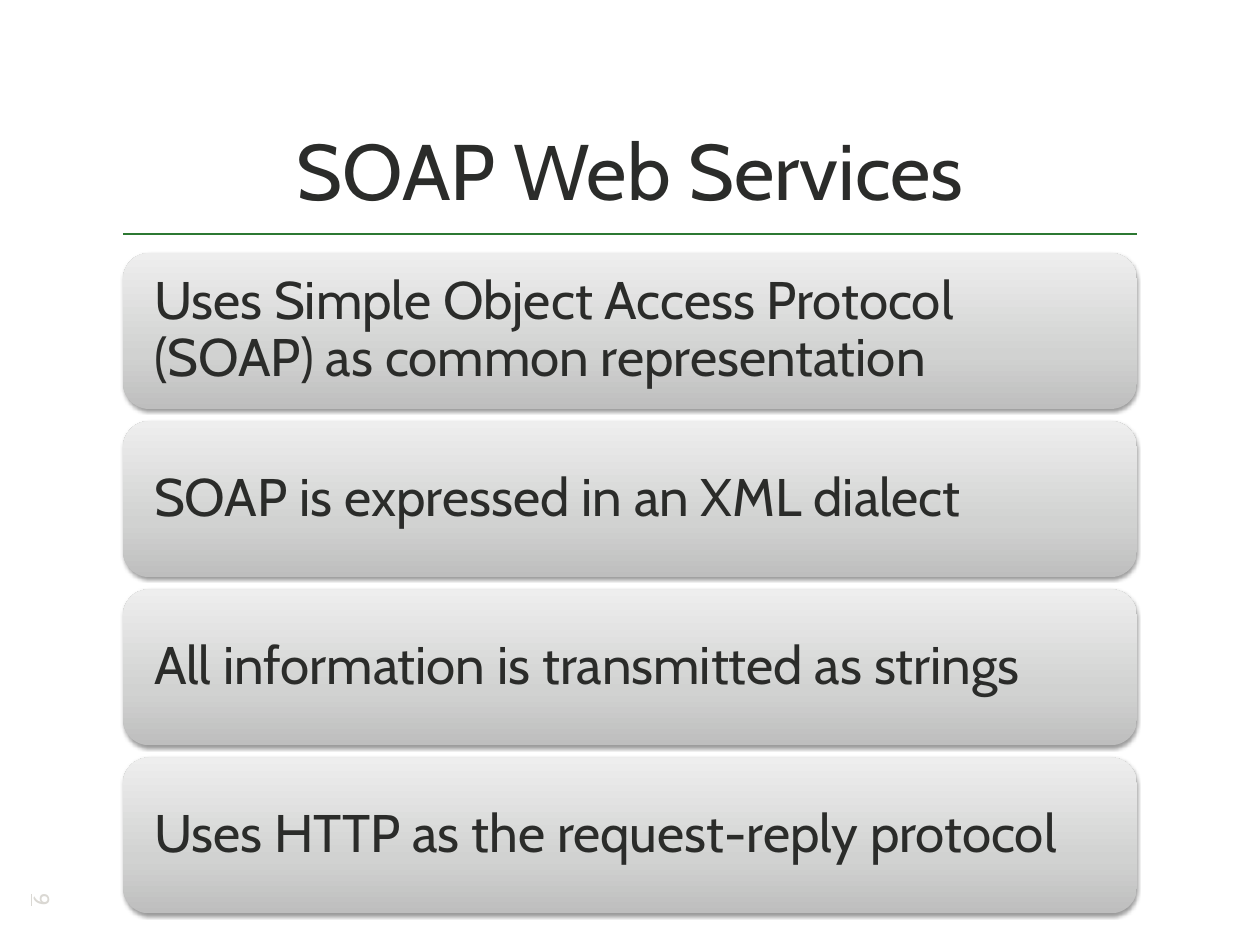
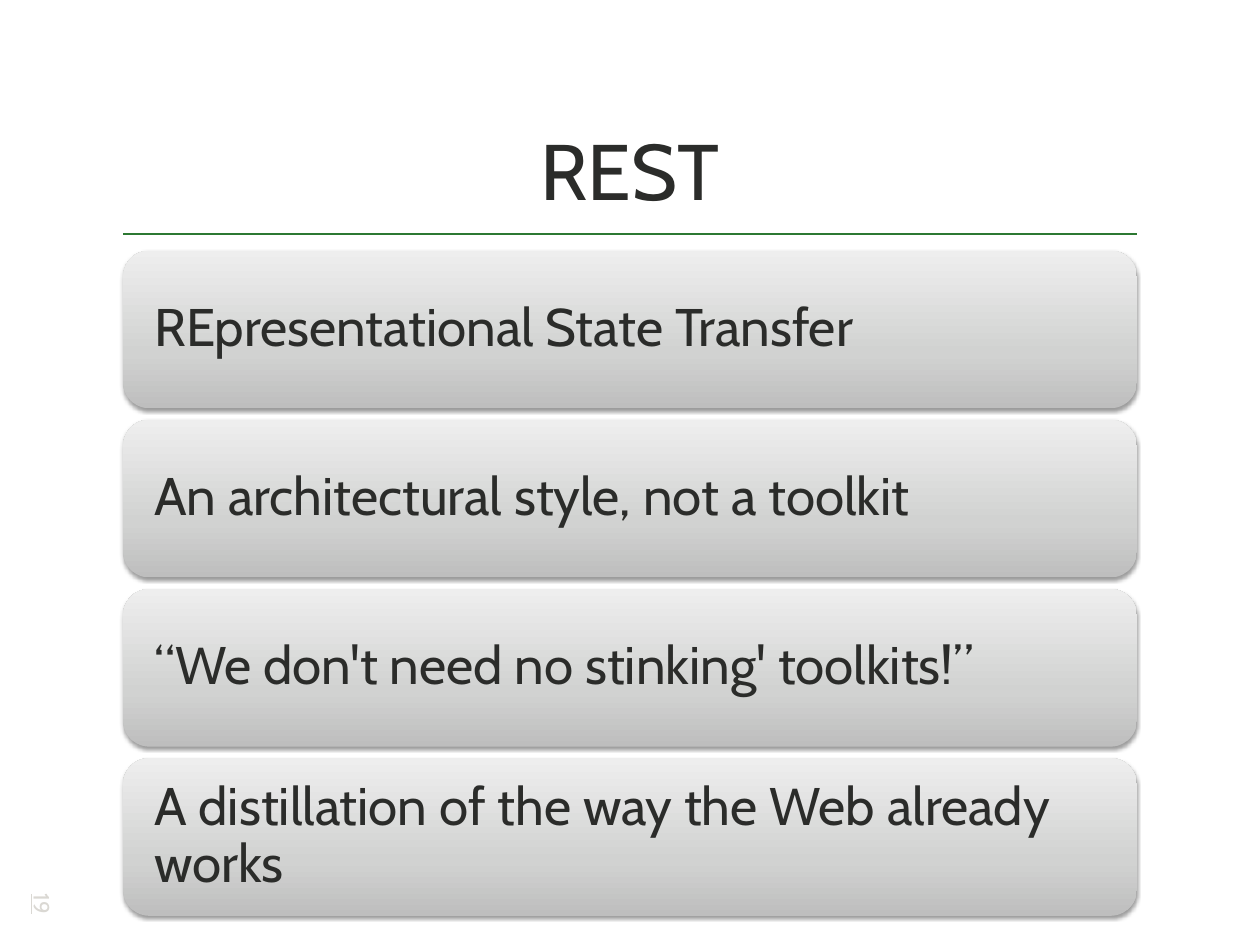
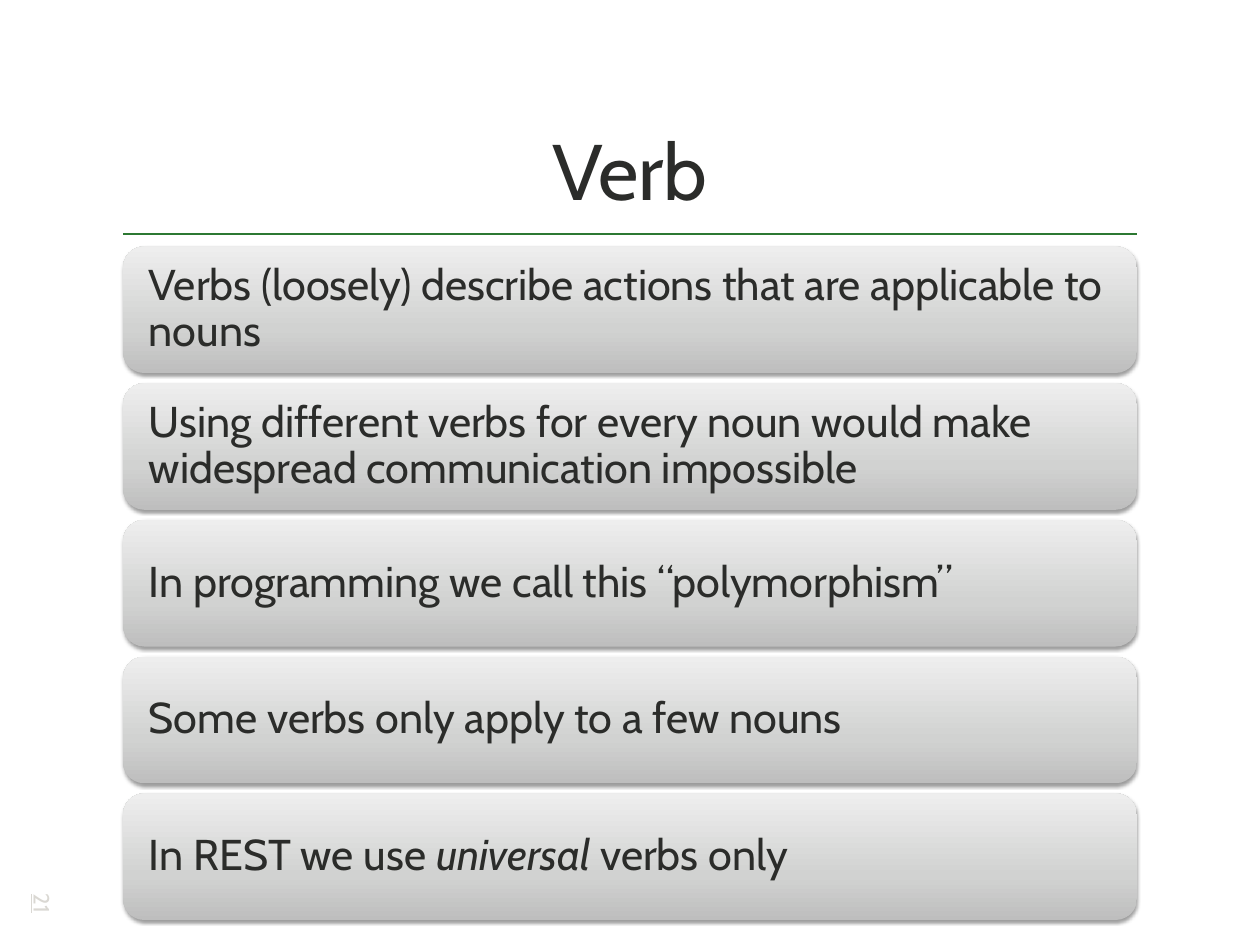
import copy

import pptx
import pptx.dml.color
import pptx.enum.shapes
import pptx.enum.text
import pptx.oxml
import pptx.oxml.ns
import pptx.util

Cm = pptx.util.Cm
Pt = pptx.util.Pt
qn = pptx.oxml.ns.qn
ALIGN = pptx.enum.text.PP_ALIGN
ANCHOR = pptx.enum.text.MSO_ANCHOR

COLORS = {
    "text": "2B2C2A",
    "rule": "2C7832",
    "number": "DAD8D3",
    "bar_bottom": "BEBEBE",
    "bar_middle": "D1D2D1",
    "bar_top": "EEEEEE",
}
BAR_STOPS = [(0, "bar_bottom"), (0.35, "bar_middle"), (1, "bar_top")]
BAR_SHADOW = (
    '<a:outerShdw xmlns:a="http://schemas.openxmlformats.org/drawingml/2006/main"'
    ' blurRad="40000" dist="20000" dir="5400000" rotWithShape="0">'
    '<a:srgbClr val="000000"><a:alpha val="38000"/></a:srgbClr></a:outerShdw>'
)


def rgb(name):
    return pptx.dml.color.RGBColor.from_string(COLORS[name])


def write(tf, text, size, color="text", align=ALIGN.LEFT, anchor=ANCHOR.TOP,
          inset=None, spacing=None, underline=None, italic=None, wrap=True):
    tf.word_wrap = wrap
    tf.auto_size = pptx.enum.text.MSO_AUTO_SIZE.NONE
    tf.vertical_anchor = anchor
    if inset is not None:
        tf.margin_left = tf.margin_right = Cm(inset)
        tf.margin_top = tf.margin_bottom = Cm(inset)
    p = tf.paragraphs[0]
    p.alignment = align
    p.line_spacing = spacing
    before, word, after = text.partition(italic) if italic else (text, "", "")
    for part in filter(None, (before, word, after)):
        r = p.add_run()
        r.text = part
        r.font.name = "Cabin"
        r.font.size = Pt(size)
        r.font.color.rgb = rgb(color)
        r.font.underline = underline
        if word:
            r.font.italic = part == word


class Deck:
    left, width = 3.53, 29.06
    rule_top = 6.71
    bars_middle = 16.72

    def __init__(self):
        self.prs = pptx.Presentation()
        self.prs.slide_width = Cm(36.12)
        self.prs.slide_height = Cm(27.09)
        self.layout = self.prs.slide_layouts[5]
        self.s = None

    def slide(self, title, number):
        first = self.s is None
        self.s = self.prs.slides.add_slide(self.layout)
        if first:
            self.shared_rule()
        self.title(title)
        self.number(number)

    def shared_rule(self):
        line = self.s.shapes.add_connector(
            pptx.enum.shapes.MSO_CONNECTOR.STRAIGHT, Cm(self.left),
            Cm(self.rule_top), Cm(self.left + self.width), Cm(self.rule_top))
        line.line.color.rgb = rgb("rule")
        line.line.width = Pt(2)
        pr = line.element.find(qn("p:spPr"))
        pr.append(pptx.oxml.parse_xml(
            '<a:effectLst xmlns:a="http://schemas.openxmlformats.org/drawingml/2006/main"/>'))
        self.layout.shapes.element.append(line.element)

    def title(self, text):
        sp = self.s.shapes.title
        sp.left, sp.top = Cm(self.left), Cm(0.71)
        sp.width, sp.height = Cm(self.width), Cm(5.64)
        write(sp.text_frame, text, 64, align=ALIGN.CENTER,
              anchor=ANCHOR.BOTTOM, inset=0.15)

    def number(self, text):
        sp = self.s.shapes.add_textbox(Cm(0.71), Cm(25.4), Cm(1.04), Cm(0.99))
        sp.rotation = 90
        write(sp.text_frame, text, 18, color="number", underline=True, wrap=False)

    def bar(self, text, top, height, **fmt):
        sp = self.s.shapes.add_shape(
            pptx.enum.shapes.MSO_SHAPE.ROUNDED_RECTANGLE,
            Cm(self.left), Cm(top), Cm(self.width), Cm(height))
        sp.line.fill.background()
        sp.fill.gradient()
        sp.fill.gradient_angle = 90
        stops = sp.element.find(".//" + qn("a:gsLst"))
        stops.append(copy.deepcopy(stops[0]))
        for stop, (position, color) in zip(sp.fill.gradient_stops, BAR_STOPS):
            stop.position = position
            stop.color.rgb = rgb(color)
        sp.shadow.inherit = False
        effects = sp.element.find(".//" + qn("a:effectLst"))
        effects.append(pptx.oxml.parse_xml(BAR_SHADOW))
        write(sp.text_frame, text, anchor=ANCHOR.MIDDLE, spacing=0.9, **fmt)

    def bars(self, texts, height, gap, **fmt):
        pitch = height + gap
        top = self.bars_middle - (len(texts) * pitch - gap) / 2
        for i, text in enumerate(texts):
            italic = "universal" if "universal" in text else None
            self.bar(text, top + i * pitch, height, italic=italic, **fmt)


deck = Deck()

deck.slide("SOAP Web Services", "9")
deck.bars([
    "Uses Simple Object Access Protocol (SOAP) as common representation",
    "SOAP is expressed in an XML dialect",
    "All information is transmitted as strings",
    "Uses HTTP as the request-reply protocol",
], height=4.47, gap=0.35, size=43, inset=0.67)

deck.slide("REST", "19")
deck.bars([
    "REpresentational State Transfer",
    "An architectural style, not a toolkit",
    "“We don't need no stinking' toolkits!”",
    "A distillation of the way the Web already works",
], height=4.52, gap=0.33, size=43, inset=0.67)

deck.slide("Verb", "21")
deck.bars([
    "Verbs (loosely) describe actions that are applicable to nouns",
    "Using different verbs for every noun would make widespread communication impossible",
    "In programming we call this “polymorphism”",
    "Some verbs only apply to a few nouns",
    "In REST we use universal verbs only",
], height=3.63, gap=0.29, size=35, inset=0.56)

deck.prs.save("out.pptx")
